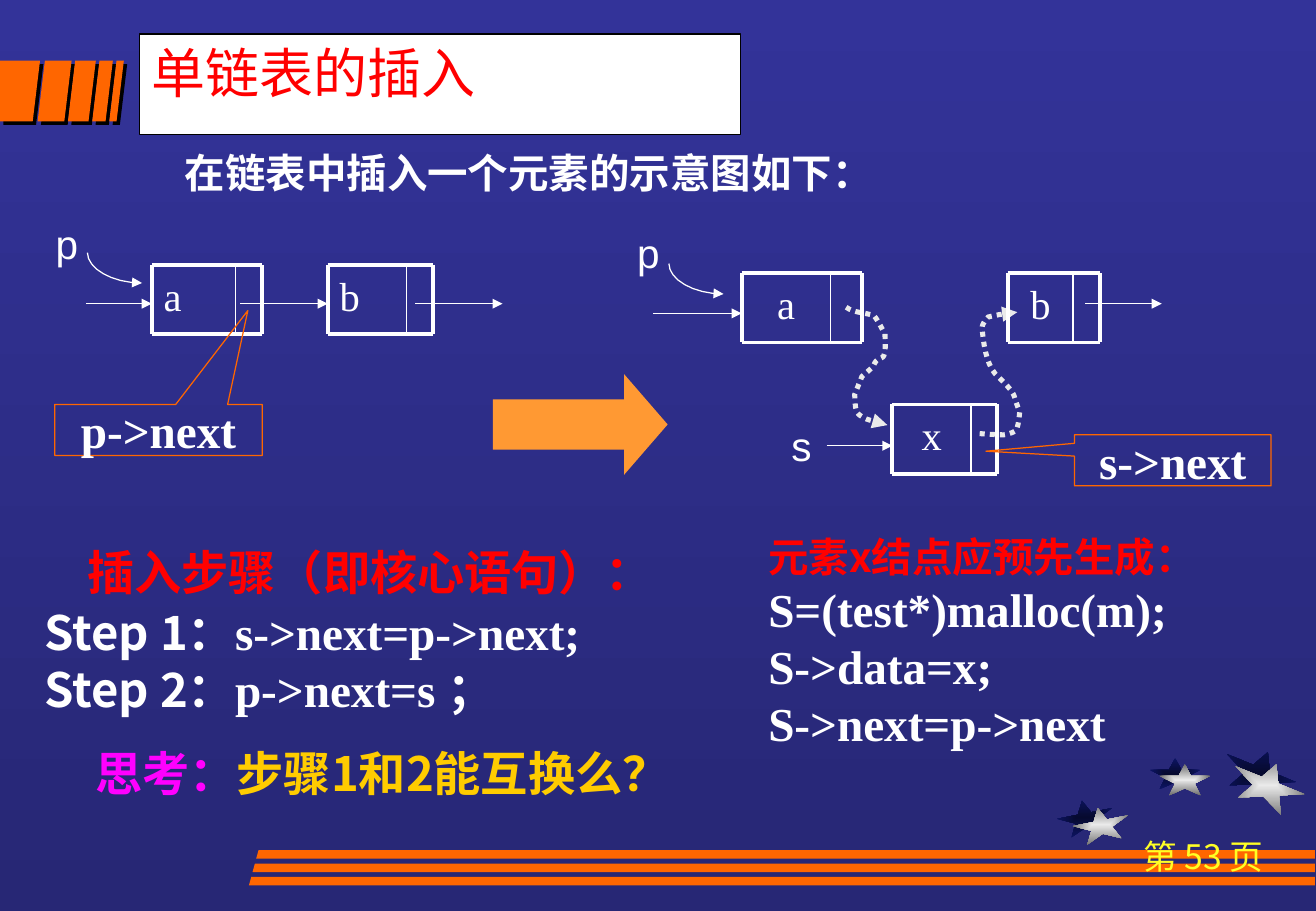
from lxml import etree
from pptx import Presentation
from pptx import util as u
from pptx.dml.color import RGBColor
from pptx.enum import dml, shapes, text
from pptx.oxml.ns import qn

IN = u.Inches
SANS, SERIF, ARIAL = "Noto Sans CJK SC", "Times New Roman", "Arial"
WHITE, RED, ORANGE = "FFFFFF", "FF0000", "FF6600"
CENTER = text.PP_ALIGN.CENTER
STAR = [(0, .38), (.38, .38), (.5, 0), (.62, .38), (1, .38),
        (.69, .62), (.81, 1), (.5, .77), (.19, 1), (.31, .62)]
POINTER_ARC = [(0, 0), (0, .13), (.2, .25), (.45, .25)]
A_TO_X = [(0, 0), (.07, .05), (.15, .04), (.23, .07), (.27, .12), (.29, .17), (.32, .22),
          (.32, .28), (.33, .35), (.31, .4), (.3, .42), (.27, .42), (.25, .44),
          (.24, .45), (.23, .47), (.22, .49), (.19, .52), (.13, .57), (.13, .57),
          (.11, .62), (.07, .72), (.07, .72), (.08, .78), (.06, .87), (.13, .9),
          (.17, .93), (.24, .94), (.29, .95), (.31, .96), (.34, .97), (.34, .97)]
X_TO_B = [(0, 0), (0, 0), (.13, .01), (.2, .01), (.2, .01), (.26, 0), (.29, -.02),
          (.32, -.03), (.33, -.18), (.33, -.18), (.31, -.22), (.29, -.3), (.28, -.32),
          (.25, -.38), (.18, -.44), (.13, -.49), (.05, -.58), (.03, -.76), (.02, -.87),
          (.02, -.9), (.05, -.94), (.07, -.96), (.15, -.98), (.22, -.99), (.31, -1)]


def rgb(value):
    return RGBColor.from_string(value)


def sub(parent, tag, **attrs):
    return etree.SubElement(parent, qn(tag), {k: str(v) for k, v in attrs.items()})


def set_gradient(fill, start, end, angle=270):
    fill.gradient()
    fill.gradient_angle = angle
    for stop, value, position in zip(fill.gradient_stops, (start, end), (0, 1)):
        stop.color.rgb = rgb(value)
        stop.position = position


def write(sp, paragraphs, align=None, anchor=text.MSO_ANCHOR.TOP):
    tf = sp.text_frame
    tf.word_wrap = True
    tf.vertical_anchor = anchor
    for i, runs in enumerate(paragraphs):
        p = tf.paragraphs[0] if i == 0 else tf.add_paragraph()
        p.alignment = align or text.PP_ALIGN.LEFT
        for words, size, font, color, bold in runs:
            r = p.add_run()
            r.text = words
            r.font.size = u.Pt(size)
            r.font.bold = bold
            r.font.name = font
            r.font.color.rgb = rgb(color)
            sub(r.font._element, "a:ea", typeface=SANS)


def add_text(s, box, paragraphs, align=None):
    sp = s.shapes.add_textbox(*map(IN, box))
    write(sp, paragraphs, align)


def add_preset(s, kind, box, fill=None, line=None, adjust=()):
    sp = s.shapes.add_shape(kind, *map(IN, box))
    sp.shadow.inherit = False
    for i, value in enumerate(adjust):
        sp.adjustments[i] = value
    paint(sp, fill, line)
    return sp


def paint(sp, fill, line, width=.75):
    if fill:
        sp.fill.solid()
        sp.fill.fore_color.rgb = rgb(fill)
    else:
        sp.fill.background()
    if line:
        sp.line.color.rgb = rgb(line)
        sp.line.width = u.Pt(width)
    else:
        sp.line.fill.background()


def outline(s, points, close=True):
    pts = [(IN(x), IN(y)) for x, y in points]
    builder = s.shapes.build_freeform(*pts[0])
    builder.add_line_segments(pts[1:], close=close)
    sp = builder.convert_to_shape()
    sp.shadow.inherit = False
    return sp


def arrowhead(line_shape):
    sub(line_shape.line._get_or_add_ln(), "a:tailEnd", type="triangle")


def curve(s, x, y, controls, color, width, dotted=False):
    points = [controls[0]]
    for i in range(0, len(controls) - 1, 3):
        a, b, c, d = controls[i:i + 4]
        for t in (n / 8 for n in range(1, 9)):
            points.append(tuple((1 - t) ** 3 * a[k] + 3 * t * (1 - t) ** 2 * b[k]
                                + 3 * t * t * (1 - t) * c[k] + t ** 3 * d[k] for k in (0, 1)))
    sp = outline(s, [(x + px, y + py) for px, py in points], close=False)
    paint(sp, None, color, width)
    if dotted:
        sp.line.dash_style = dml.MSO_LINE.ROUND_DOT
    arrowhead(sp)


def line(s, x1, y1, x2, y2, width=.75, arrow=False):
    c = s.shapes.add_connector(shapes.MSO_CONNECTOR.STRAIGHT, *map(IN, (x1, y1, x2, y2)))
    c.line.color.rgb = rgb(WHITE)
    c.line.width = u.Pt(width)
    if arrow:
        arrowhead(c)
    sub(c._element.spPr, "a:effectLst")


def node(s, x, y, data_w, w, label, align=CENTER):
    h = .57
    add_text(s, (x, y, data_w, h), [[(label, 24, SERIF, WHITE, False)]], align)
    for dy in (0, h):
        line(s, x, y + dy, x + w, y + dy, 2.25)
    for dx, width in ((0, 2.25), (data_w, 1), (w, 2.25)):
        line(s, x + dx, y, x + dx, y + h, width)


def pointer(s, x, y, label):
    add_text(s, (x, y, .42, .5), [[(label, 24, ARIAL, WHITE, False)]])


def callout(s, box, label, adjust):
    sp = add_preset(s, shapes.MSO_SHAPE.RECTANGULAR_CALLOUT, box, line=ORANGE, adjust=adjust)
    write(sp, [[(label, 28, SERIF, WHITE, True)]], CENTER, text.MSO_ANCHOR.MIDDLE)


def stars(s, x, y):
    sizes = ((.46, .28, 349), (.42, .26, 0), (.61, .37, 22))
    dark = ((0, .41), (.76, .06), (1.36, 0))
    light = ((.13, .47), (.84, .11), (1.43, .1))
    for places, start, end in ((dark, "060A2F", "0D1565"), (light, "EAEAEA", "6C6C6C")):
        for (dx, dy), (w, h, angle) in zip(places, sizes):
            sp = outline(s, [(x + dx + px * w, y + dy + py * h) for px, py in STAR])
            sp.rotation = angle
            paint(sp, None, None)
            set_gradient(sp.fill, start, end)
            grad = sp._element.spPr.find(qn("a:gradFill"))
            grad.remove(grad.find(qn("a:lin")))
            route = sub(grad, "a:path", path="rect")
            sub(route, "a:fillToRect", l=50000, t=50000, r=50000, b=50000)


def title_bars(s, x, y):
    for left, w in ((0, .27), (.31, .22), (.56, .17), (.76, .11), (.9, .06)):
        slant = .06 if left else 0
        sp = outline(s, [(x + left + slant, y), (x + left, y + .5),
                         (x + left + w, y + .5), (x + left + w + .06, y)])
        paint(sp, ORANGE, None)
        effects = sp._element.spPr.find(qn("a:effectLst"))
        shadow = sub(effects, "a:outerShdw", dist=u.Pt(2.8), dir=2700000, algn="ctr", rotWithShape=0)
        sub(shadow, "a:srgbClr", val="000000")


def footer(s, x, y, right):
    for i in range(3):
        left, top = x - .03 * i, y + .11 * i
        paint(outline(s, [(left, top + .07), (right, top + .07), (right, top), (left + .02, top)]),
              ORANGE, None)
    add_text(s, (right - 1.83, y - .17, 1.83, .84),
             [[("第 53 页", 20, SANS, "FFFF25", False)]], CENTER)


def heading(s, x, y):
    sp = add_preset(s, shapes.MSO_SHAPE.RECTANGLE, (x, y, 4.95, .83), WHITE, "000000")
    write(sp, [[("单链表的插入", 32, SANS, RED, False)]])
    add_text(s, (x - .33, y + .89, 7.07, .5),
             [[("在链表中插入一个元素的示意图如下：", 24, SANS, WHITE, True)]], CENTER)


def list_before(s, x, y):
    node(s, x + .89, y + .43, .69, .91, "a", text.PP_ALIGN.LEFT)
    node(s, x + 2.34, y + .43, .65, .87, "b", text.PP_ALIGN.LEFT)
    for start, end in ((.35, .89), (1.62, 2.34), (3.06, 3.78)):
        line(s, x + start, y + .75, x + end, y + .75, arrow=True)
    pointer(s, x, y, "p")
    curve(s, x + .36, y + .33, POINTER_ARC, WHITE, .75)
    callout(s, (x + .09, y + 1.58, 1.71, .42), "p->next", (.431, -2.342))


def list_after(s, x, y):
    node(s, x + 2.2, y + 1.5, .65, .86, "x")
    line(s, x + 1.66, y + 1.84, x + 2.2, y + 1.84, arrow=True)
    pointer(s, x + 1.27, y + 1.59, "s")
    curve(s, x + 1.82, y + .7, A_TO_X, "EAEAEA", 3, dotted=True)
    curve(s, x + 2.92, y + 1.74, X_TO_B, "EAEAEA", 3, dotted=True)
    node(s, x + 3.15, y + .42, .54, .76, "b")
    node(s, x + .96, y + .42, .73, .99, "a")
    line(s, x + .23, y + .75, x + .96, y + .75, arrow=True)
    line(s, x + 3.79, y + .67, x + 4.42, y + .67, arrow=True)
    pointer(s, x, y, "p")
    curve(s, x + .36, y + .34, POINTER_ARC, WHITE, .75)
    callout(s, (x + 3.7, y + 1.75, 1.62, .42), "s->next", (-.95, -.179))


def steps(s, x, y):
    add_text(s, (x, y, 5.56, .57), [[("插入步骤（即核心语句）：", 28, SANS, RED, True)]], CENTER)
    add_text(s, (x, y + .5, 5.24, 1.04),
             [[(label, 28, SANS, WHITE, True), (code, 28, SERIF, WHITE, True)]
              for label, code in (("Step 1：", "s->next=p->next;"), ("Step 2：", "p->next=s ；"))])
    add_text(s, (x + .17, y + 1.66, 5.42, .57),
             [[("思考：", 28, SANS, "FF00FF", True),
               ("步骤1和2能互换么？", 28, SANS, "FFCC00", True)]], CENTER)


def new_node_code(s, x, y):
    code = ("S=(test*)malloc(m);", "S->data=x;", "S->next=p->next")
    add_text(s, (x, y, 4.15, 1.9), [[("元素x结点应预先生成：", 24, SANS, RED, True)]]
             + [[(row, 28, SERIF, WHITE, True)] for row in code])


def main():
    prs = Presentation()
    prs.slide_width, prs.slide_height = IN(10.84), IN(7.5)
    s = prs.slides.add_slide(prs.slide_layouts[6])
    set_gradient(s.background.fill, "333399", "272775")
    stars(s, 8.71, 6.18)
    title_bars(s, 0, .5)
    footer(s, 2.11, 7, 10.83)
    heading(s, 1.15, .28)
    list_before(s, .36, 1.75)
    list_after(s, 5.15, 1.83)
    add_preset(s, shapes.MSO_SHAPE.RIGHT_ARROW, (4.06, 3.08, 1.44, .83), "FF9933", adjust=(.5, .433))
    steps(s, .27, 4.42)
    new_node_code(s, 6.23, 4.33)
    prs.save("out.pptx")


if __name__ == "__main__":
    main()
